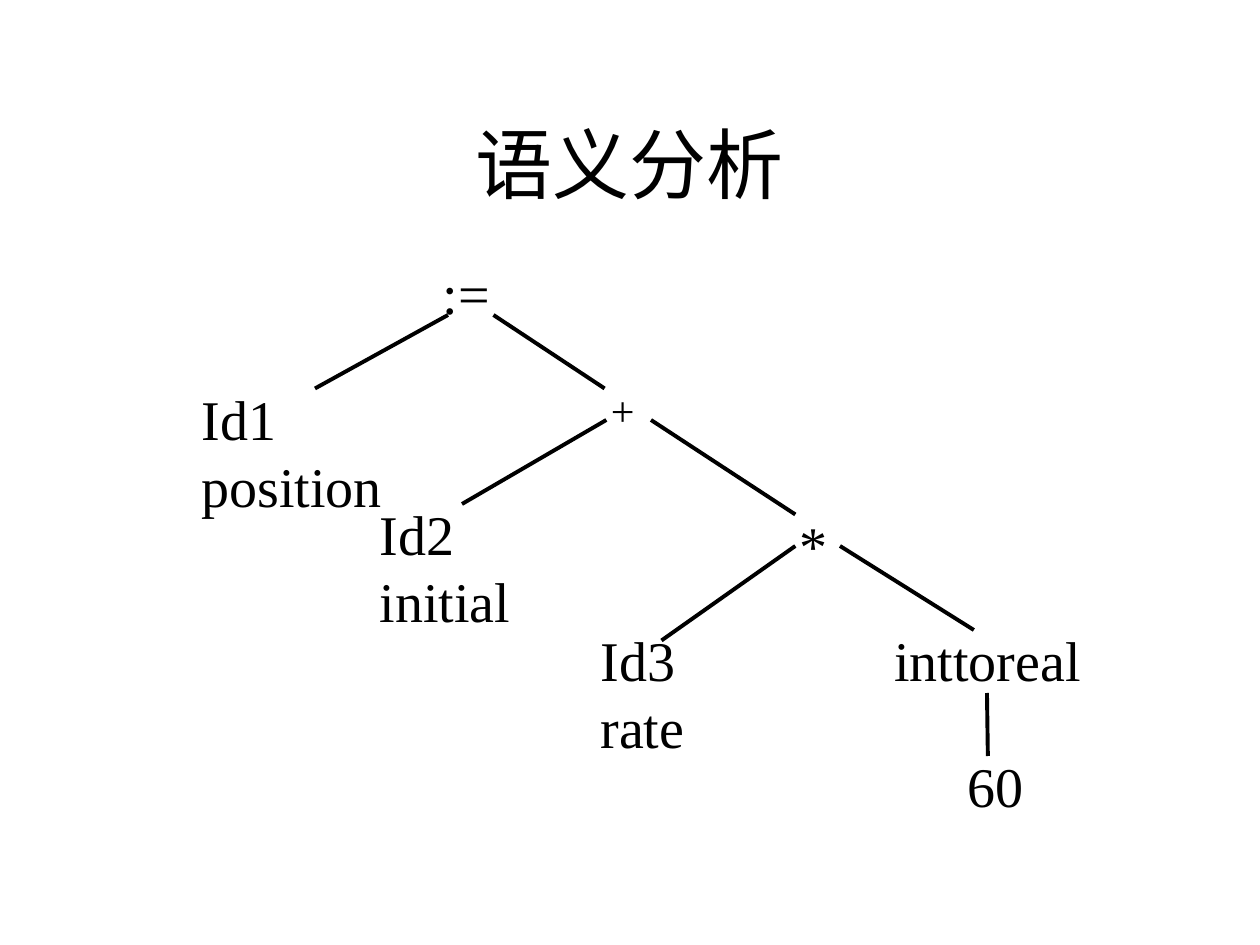
import pptx
import pptx.util
import pptx.enum.shapes
import pptx.enum.text
import pptx.dml.color
import pptx.oxml.ns
import lxml.etree

Pt = pptx.util.Pt
FONT = "Times New Roman"
COLORS = {"background": "FFFFFF", "ink": "000000"}


def color(name):
    return pptx.dml.color.RGBColor.from_string(COLORS[name])


def write_text(shape, text, size=32, align=pptx.enum.text.PP_ALIGN.LEFT,
               anchor=pptx.enum.text.MSO_ANCHOR.TOP, line_spacing=None):
    frame = shape.text_frame
    frame.word_wrap = True
    frame.vertical_anchor = anchor
    paragraph = frame.paragraphs[0]
    paragraph.text = text
    paragraph.alignment = align
    if line_spacing:
        paragraph.line_spacing = line_spacing
    font = paragraph.runs[0].font
    font.name = FONT
    font.size = Pt(size)
    font.color.rgb = color("ink")


presentation = pptx.Presentation()
presentation.slide_width = Pt(720)
presentation.slide_height = Pt(540)
slide = presentation.slides.add_slide(presentation.slide_layouts[5])
slide.background.fill.solid()
slide.background.fill.fore_color.rgb = color("background")

# Title
title = slide.shapes.title
title.left, title.top, title.width, title.height = Pt(54), Pt(48), Pt(612), Pt(90)
write_text(title, "语义分析", size=44, align=pptx.enum.text.PP_ALIGN.CENTER,
           anchor=pptx.enum.text.MSO_ANCHOR.MIDDLE)

# Tree nodes: text, left, top, width, lines, font size
nodes = [
    (":=", 246, 144, 51, 1, 32),
    ("Id1 position", 108, 216, 127, 2, 32),
    ("+", 342, 216, 51, 1, 24),
    ("Id2 initial", 210, 282, 95, 2, 32),
    ("*", 450, 288, 51, 1, 32),
    ("Id3 rate", 336, 354, 70, 2, 32),
    ("inttoreal", 504, 354, 126, 1, 32),
    ("60", 546, 426, 48, 1, 32),
]
for text, left, top, width, lines, size in nodes:
    line_height = 1.2 * size
    box = slide.shapes.add_textbox(Pt(left), Pt(top), Pt(width),
                                   Pt(lines * line_height + 7.2))
    write_text(box, text, size=size, line_spacing=Pt(line_height))

# Tree branches: parent end, child end
branches = [
    (256, 180, 180, 222),
    (282, 180, 345.5, 222),
    (346.5, 240, 264, 288),
    (372, 240, 454.5, 294),
    (454.5, 312, 378, 366),
    (480, 312, 556.5, 360),
    (564, 396, 564.5, 432),
]
for ends in branches:
    branch = slide.shapes.add_connector(
        pptx.enum.shapes.MSO_CONNECTOR.STRAIGHT, *[Pt(end) for end in ends])
    branch.line.color.rgb = color("ink")
    branch.line.width = Pt(2.25)
    lxml.etree.SubElement(branch.element.spPr, pptx.oxml.ns.qn("a:effectLst"))

presentation.save("out.pptx")
